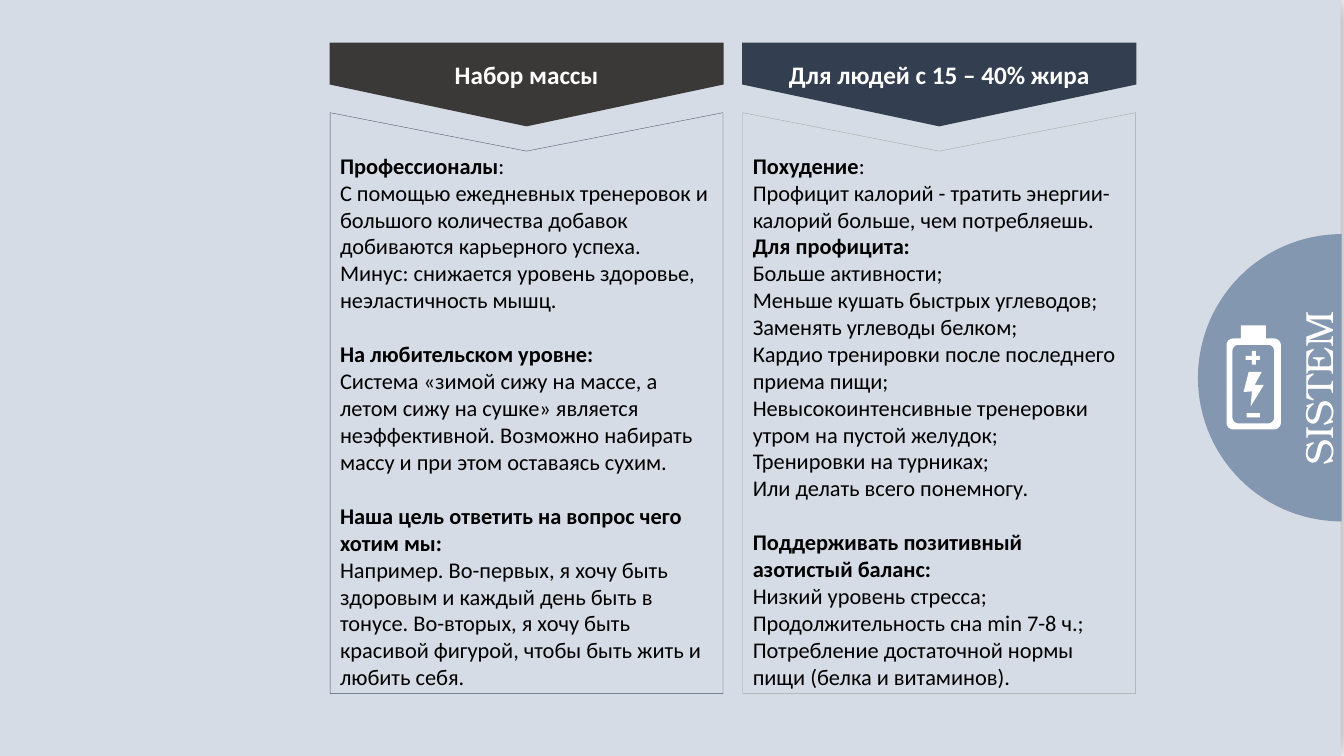
from math import cos, radians, sin

from lxml.etree import SubElement
from pptx import Presentation
from pptx.dml.color import RGBColor
from pptx.enum.shapes import MSO_SHAPE
from pptx.enum.text import MSO_ANCHOR, MSO_AUTO_SIZE, PP_ALIGN
from pptx.oxml.ns import qn
from pptx.util import Cm, Pt

# Colours
WHITE = RGBColor(0xFF, 0xFF, 0xFF)
BLACK = RGBColor(0x00, 0x00, 0x00)
PALE_BLUE = RGBColor(0xD6, 0xDC, 0xE5)
STEEL_BLUE = RGBColor(0x84, 0x97, 0xB0)
NAVY = RGBColor(0x33, 0x3F, 0x50)
CHARCOAL = RGBColor(0x3B, 0x38, 0x38)
SLATE = RGBColor(0x44, 0x54, 0x6A)
GREY = RGBColor(0xA5, 0xA5, 0xA5)

# Panel geometry in centimetres
PANEL_LEFT, PANEL_TOP, PANEL_WIDTH, PANEL_BOTTOM = 8.32, 2.84, 9.9, 17.48
PANEL_PITCH, NOTCH_DEPTH = 10.4, 0.97
HEADER_LENGTH, HEADER_HEIGHT, HEADER_MIDDLE = 2.11, 9.93, 2.13

# Wording: (heading, plain ending of the heading, gap above, lines below)
MASS_SECTIONS = [
    ("Профессионалы", ":", False, [
        "С помощью ежедневных тренеровок и большого количества добавок "
        "добиваются карьерного успеха.",
        "Минус: снижается уровень здоровье, неэластичность мышц."]),
    ("На любительском уровне:", "", True, [
        "Система «зимой сижу на массе, а летом сижу на сушке» является "
        "неэффективной. Возможно набирать массу и при этом оставаясь сухим."]),
    ("Наша цель ответить на вопрос чего хотим мы:", "", True, [
        "Например. Во-первых, я хочу быть здоровым и каждый день быть в тонусе. "
        "Во-вторых, я хочу быть красивой фигурой, чтобы быть жить и любить себя."]),
]
FAT_SECTIONS = [
    ("Похудение", ":", False, [
        "Профицит калорий - тратить энергии-калорий больше, чем потребляешь."]),
    ("Для профицита:", "", False, [
        "Больше активности;",
        "Меньше кушать быстрых углеводов;",
        "Заменять углеводы белком;",
        "Кардио тренировки после последнего приема пищи;",
        "Невысокоинтенсивные тренеровки утром на пустой желудок;",
        "Тренировки на турниках;",
        "Или делать всего понемногу."]),
    ("Поддерживать позитивный азотистый баланс:", "", True, [
        "Низкий уровень стресса; Продолжительность сна min 7-8 ч.; "
        "Потребление достаточной нормы пищи (белка и витаминов)."]),
]
COLUMNS = [
    ("Набор массы", CHARCOAL, SLATE, MASS_SECTIONS),
    ("Для людей с 15 – 40% жира", NAVY, GREY, FAT_SECTIONS),
]


def arc(center_x, center_y, radius, start, end, steps=8):
    """Points on a circle, angles in degrees clockwise from the right."""
    angles = [radians(start + (end - start) * i / steps) for i in range(steps + 1)]
    return [(center_x + radius * cos(a), center_y + radius * sin(a)) for a in angles]


def rounded_box(left, top, right, bottom, radius, top_points=()):
    """Outline of a rounded box, with extra points along its top side."""
    inner_left, inner_right = left + radius, right - radius
    inner_top, inner_bottom = top + radius, bottom - radius
    return [*arc(inner_left, inner_top, radius, 180, 270), *top_points,
            *arc(inner_right, inner_top, radius, 270, 360),
            *arc(inner_right, inner_bottom, radius, 0, 90),
            *arc(inner_left, inner_bottom, radius, 90, 180)]


class SlideBuilder:
    text_font = {"name": "Calibri", "size": Pt(16), "bold": False}
    header_font = {"name": "Calibri", "size": Pt(18), "bold": True}
    title_font = {"name": "TeX Gyre Bonum", "size": Pt(28), "bold": False}

    def __init__(self, slide):
        self.slide = slide

    def apply(self, target, values):
        for name, value in values.items():
            setattr(target, name, value)

    def paint(self, shape, fill=None, line=None):
        shape.shadow.inherit = False
        if fill is None:
            shape.fill.background()
        else:
            shape.fill.solid()
            shape.fill.fore_color.rgb = fill
        if line is None:
            shape.line.fill.background()
        else:
            shape.line.color.rgb = line
            shape.line.width = Pt(0.25)
        return shape

    def preset(self, kind, left, top, width, height, fill):
        shape = self.slide.shapes.add_shape(
            kind, Cm(left), Cm(top), Cm(width), Cm(height))
        return self.paint(shape, fill)

    def outline(self, contours, fill=None, line=None):
        contours = [[(Cm(x), Cm(y)) for x, y in points] for points in contours]
        builder = self.slide.shapes.build_freeform(*contours[0][0], scale=1.0)
        for number, points in enumerate(contours):
            if number:
                builder.move_to(*points[0])
            builder.add_line_segments(points[1:], close=True)
        return self.paint(builder.convert_to_shape(), fill, line)

    def run(self, paragraph, text, font, color, **changes):
        run = paragraph.add_run()
        run.text = text
        self.apply(run.font, {**font, **changes})
        run.font.color.rgb = color

    def place(self, placeholder, left, top, width, height, insets):
        self.apply(placeholder, {"left": Cm(left), "top": Cm(top),
                                 "width": Cm(width), "height": Cm(height)})
        sides = ("margin_left", "margin_top", "margin_right", "margin_bottom")
        self.apply(placeholder.text_frame, {
            **{side: Cm(inset) for side, inset in zip(sides, insets)},
            "word_wrap": True, "auto_size": MSO_AUTO_SIZE.NONE,
            "vertical_anchor": MSO_ANCHOR.TOP})
        # Bring the placeholder to the front
        placeholder.element.getparent().append(placeholder.element)

    def upward_title(self, text, center_x, center_y, length, thickness):
        title = self.slide.shapes.title
        self.place(title, center_x - length / 2, center_y - thickness / 2,
                   length, thickness, (0.25, 0.13, 0.25, 0.13))
        title.rotation = 270
        paragraph = title.text_frame.paragraphs[0]
        paragraph.alignment = PP_ALIGN.LEFT
        self.run(paragraph, text, self.title_font, WHITE)

    def header(self, text, center, fill):
        shape = self.preset(MSO_SHAPE.PENTAGON, center - HEADER_LENGTH / 2,
                            HEADER_MIDDLE - HEADER_HEIGHT / 2,
                            HEADER_LENGTH, HEADER_HEIGHT, fill)
        # The arrow points down while its text stays level
        shape.rotation = 90
        shape.element.txBody.bodyPr.set("vert", "vert270")
        self.apply(shape.text_frame, {"word_wrap": True,
                                      "vertical_anchor": MSO_ANCHOR.MIDDLE})
        paragraph = shape.text_frame.paragraphs[0]
        paragraph.alignment = PP_ALIGN.CENTER
        self.run(paragraph, text, self.header_font, WHITE)

    def panel(self, left, line):
        right = left + PANEL_WIDTH
        self.outline([[(left, PANEL_TOP),
                       (left + PANEL_WIDTH / 2, PANEL_TOP + NOTCH_DEPTH),
                       (right, PANEL_TOP), (right, PANEL_BOTTOM),
                       (left, PANEL_BOTTOM)]], line=line)

    def add_paragraph(self, frame, gap=False):
        first = frame.paragraphs[0]
        paragraph = frame.add_paragraph() if first.runs else first
        self.apply(paragraph, {"alignment": PP_ALIGN.LEFT, "line_spacing": 1.0,
                               "space_before": Pt(19.5 if gap else 0),
                               "space_after": Pt(0)})
        properties = paragraph._p.get_or_add_pPr()
        properties.set("marL", "0")
        properties.set("indent", "0")
        SubElement(properties, qn("a:buNone"))
        return paragraph

    def body(self, placeholder, left, sections):
        self.place(placeholder, left, PANEL_TOP, PANEL_WIDTH,
                   PANEL_BOTTOM - PANEL_TOP, (0.25, 0.99, 0.25, 0.1))
        frame = placeholder.text_frame
        for heading, ending, gap, lines in sections:
            paragraph = self.add_paragraph(frame, gap)
            self.run(paragraph, heading, self.text_font, BLACK, bold=True)
            if ending:
                self.run(paragraph, ending, self.text_font, BLACK)
            for line in lines:
                self.run(self.add_paragraph(frame), line, self.text_font, BLACK)

    def soft_shadow(self, shape):
        effects = shape.element.spPr.find(qn("a:effectLst"))
        shadow = SubElement(effects, qn("a:outerShdw"), blurRad=str(Pt(17)),
                            dist=str(Pt(3)), dir="0", algn="l", rotWithShape="0")
        color = SubElement(shadow, qn("a:srgbClr"), val="000000")
        SubElement(color, qn("a:alpha"), val="35000")

    def battery(self):
        terminal = [(31.27, 8.53), (31.27, 8.2), (31.9, 8.2), (31.9, 8.53)]
        case = rounded_box(30.91, 8.53, 32.28, 10.82, 0.17, terminal)
        window = rounded_box(31.06, 8.69, 32.11, 10.67, 0.15)
        plus = [(31.55, 9.19), (31.65, 9.19), (31.65, 9.07), (31.75, 9.07),
                (31.75, 8.97), (31.65, 8.97), (31.65, 8.84), (31.55, 8.84),
                (31.55, 8.97), (31.39, 8.97), (31.39, 9.07), (31.55, 9.07)]
        minus = [(31.42, 10.52), (31.75, 10.52), (31.75, 10.41), (31.42, 10.41)]
        bolt = [(31.8, 9.37), (31.47, 9.37), (31.34, 9.88), (31.55, 9.86),
                (31.52, 10.24), (31.85, 9.7), (31.62, 9.7)]
        self.outline([case, window, plus, minus, bolt], fill=WHITE)


def main():
    presentation = Presentation()
    presentation.slide_width, presentation.slide_height = Cm(33.87), Cm(19.05)
    slide = presentation.slides.add_slide(presentation.slide_layouts[3])
    builder = SlideBuilder(slide)

    # Backdrop and side tab
    backdrop = builder.preset(MSO_SHAPE.RECTANGLE, -0.08, 0, 33.87, 19.05, PALE_BLUE)
    builder.soft_shadow(backdrop)
    builder.outline([arc(33.81, 9.52, 3.62, 90, 270, steps=60)], fill=STEEL_BLUE)
    builder.upward_title("SISTEM", 33.34, 9.18, 5.61, 1.7)
    builder.battery()

    # Two columns
    for number, (heading, fill, line, sections) in enumerate(COLUMNS):
        left = PANEL_LEFT + number * PANEL_PITCH
        builder.panel(left, line)
        builder.header(heading, left + PANEL_WIDTH / 2, fill)
        builder.body(slide.placeholders[number + 1], left, sections)

    presentation.save("out.pptx")


if __name__ == "__main__":
    main()
